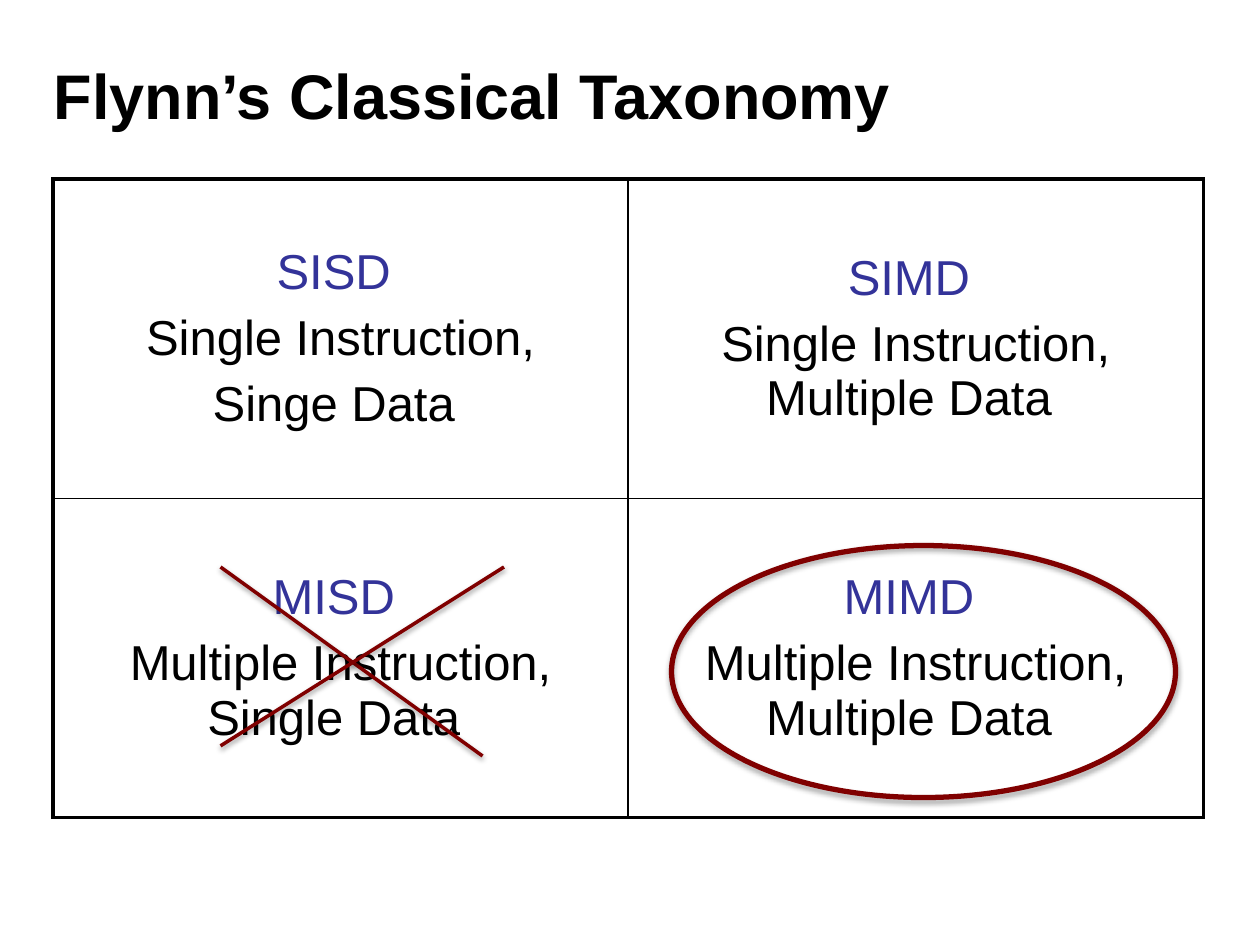
from lxml import etree
from pptx import Presentation
from pptx.dml.color import RGBColor
from pptx.enum.shapes import MSO_CONNECTOR, MSO_SHAPE
from pptx.enum.text import MSO_ANCHOR, PP_ALIGN
from pptx.oxml import parse_xml
from pptx.oxml.ns import nsdecls, qn
from pptx.util import Inches, Pt

MIDDLE = MSO_ANCHOR.MIDDLE
CENTER = PP_ALIGN.CENTER
STRAIGHT = MSO_CONNECTOR.STRAIGHT
OVAL = MSO_SHAPE.OVAL

FONT = "Arial"
BLACK, INDIGO, MAROON = "000000", "333399", "800000"
OUTER, INNER = 2.25, 1

TITLE = "Flynn’s Classical Taxonomy"
TAXONOMY = [
    [
        ["SISD ", "Single Instruction,", "Singe Data "],
        ["SIMD ", "Single Instruction, Multiple Data "],
    ],
    [
        ["MISD ", "Multiple Instruction, Single Data "],
        ["MIMD ", "Multiple Instruction, Multiple Data "],
    ],
]
TABLE_BOX = (0.42, 1.42, 9.13, 5.07)
CROSS_STROKES = [(1.75, 4.5, 3.83, 6), (4, 4.5, 1.75, 5.92)]
HIGHLIGHT_BOX = (5.33, 4.33, 4, 2)


def color(value):
    return RGBColor.from_string(value)


def inches(values):
    return [Inches(value) for value in values]


def style_font(paragraph, size, value, bold=False):
    font = paragraph.font
    font.name, font.size, font.bold = FONT, Pt(size), bold
    font.color.rgb = color(value)


def set_borders(cell, widths):
    properties = cell._tc.get_or_add_tcPr()
    for side, width in widths.items():
        properties.append(parse_xml(
            f'<a:ln{side} {nsdecls("a")} w="{Pt(width)}"><a:solidFill>'
            f'<a:srgbClr val="{BLACK}"/></a:solidFill></a:ln{side}>'
        ))


def outline_with_shadow(shape, width, opacity, distance):
    shape.line.color.rgb = color(MAROON)
    shape.line.width = Pt(width)
    effects = etree.SubElement(shape._element.spPr, qn("a:effectLst"))
    effects.append(parse_xml(
        f'<a:outerShdw {nsdecls("a")} blurRad="{Pt(3.1)}" dist="{Pt(distance)}" '
        f'dir="5400000" rotWithShape="0"><a:srgbClr val="{BLACK}">'
        f'<a:alpha val="{opacity * 1000}"/></a:srgbClr></a:outerShdw>'
    ))


def add_title(slide):
    frame = slide.shapes.add_textbox(*inches((0.33, 0.33, 9, 0.83))).text_frame
    frame.word_wrap = True
    frame.vertical_anchor = MIDDLE
    frame.text = TITLE
    style_font(frame.paragraphs[0], 36, BLACK, bold=True)


def add_taxonomy(slide):
    rows, columns = len(TAXONOMY), len(TAXONOMY[0])
    table = slide.shapes.add_table(rows, columns, *inches(TABLE_BOX)).table
    table.first_row = table.horz_banding = False
    for row, entries in enumerate(TAXONOMY):
        for column, lines in enumerate(entries):
            cell = table.cell(row, column)
            cell.vertical_anchor = MIDDLE
            set_borders(cell, {
                "L": OUTER if column == 0 else INNER,
                "R": OUTER if column == columns - 1 else INNER,
                "T": OUTER if row == 0 else INNER,
                "B": OUTER if row == rows - 1 else INNER,
            })
            cell.fill.background()
            cell.text = "\n".join(lines)
            for index, paragraph in enumerate(cell.text_frame.paragraphs):
                paragraph.alignment = CENTER
                paragraph.space_before = Pt(6.3 if index else 0)
                style_font(paragraph, 28, BLACK if index else INDIGO)


def add_marks(slide):
    highlight = slide.shapes.add_shape(OVAL, *inches(HIGHLIGHT_BOX))
    highlight.fill.background()
    outline_with_shadow(highlight, 3, 35, 1.8)
    for ends in CROSS_STROKES:
        stroke = slide.shapes.add_connector(STRAIGHT, *inches(ends))
        outline_with_shadow(stroke, 2, 38, 1.6)


def main():
    presentation = Presentation()
    presentation.slide_width, presentation.slide_height = inches((10, 7.5))
    slide = presentation.slides.add_slide(presentation.slide_layouts[6])
    add_title(slide)
    add_taxonomy(slide)
    add_marks(slide)
    presentation.save("out.pptx")


if __name__ == "__main__":
    main()
